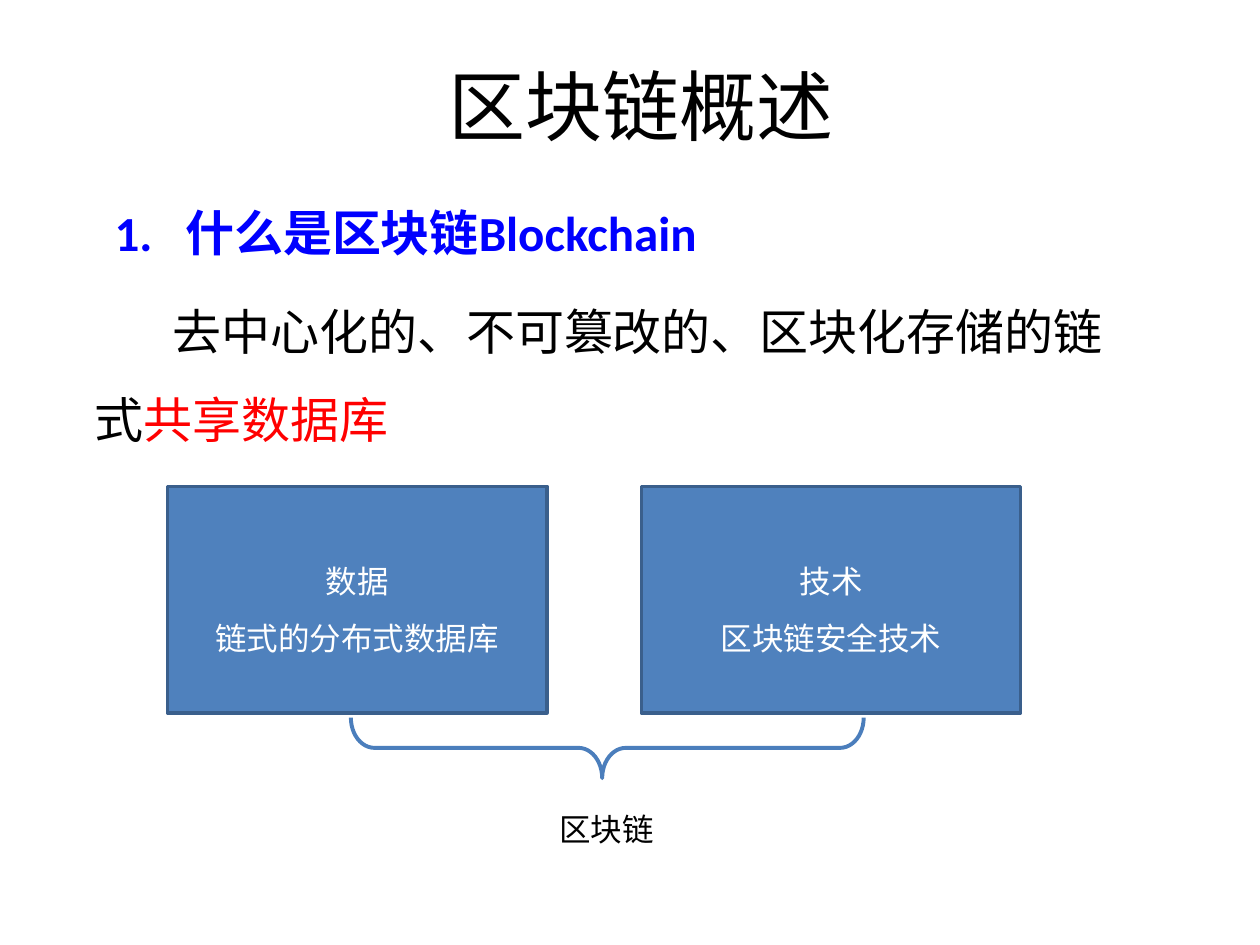
import dataclasses

import pptx
import pptx.dml.color
import pptx.enum.shapes
import pptx.enum.text
import pptx.oxml
import pptx.oxml.ns
import pptx.util

Inches = pptx.util.Inches
Pt = pptx.util.Pt
Shape = pptx.enum.shapes.MSO_SHAPE
Align = pptx.enum.text.PP_ALIGN
Anchor = pptx.enum.text.MSO_ANCHOR
Fit = pptx.enum.text.MSO_AUTO_SIZE


@dataclasses.dataclass
class Theme:
    font: str = "Calibri"
    note: str = "Arial"
    black: str = "000000"
    white: str = "FFFFFF"
    blue: str = "0000FF"
    red: str = "FF0000"
    fill: str = "4F81BD"
    edge: str = "3A5F8C"
    brace: str = "4B7EBC"
    title: int = 44
    body: int = 28
    small: int = 18


class Deck:
    """Holds the theme and the current slide, and draws each kind of element."""

    def __init__(self, theme):
        self.theme = theme
        self.file = pptx.Presentation()
        self.file.slide_width = Inches(10)
        self.file.slide_height = Inches(7.5)
        self.slide = self.file.slides.add_slide(self.file.slide_layouts[1])

    def color(self, code):
        return pptx.dml.color.RGBColor.from_string(code)

    def style(self, run, size, code, face=None, bold=False):
        run.font.name = face or self.theme.font
        run.font.size = Pt(size)
        run.font.bold = bold
        run.font.color.rgb = self.color(code)

    def place(self, item, left, top, width, height):
        item.left, item.top = Inches(left), Inches(top)
        item.width, item.height = Inches(width), Inches(height)

    def title(self, text, *spot):
        item = self.slide.shapes.title
        self.place(item, *spot)
        frame = item.text_frame
        frame.text = text
        frame.auto_size = Fit.NONE
        frame.vertical_anchor = Anchor.MIDDLE
        para = frame.paragraphs[0]
        para.alignment = Align.CENTER
        self.style(para.runs[0], self.theme.title, self.theme.black)

    def body(self, *spot):
        item = self.slide.placeholders[1]
        self.place(item, *spot)
        item.text_frame.auto_size = Fit.NONE
        return item.text_frame

    def para(self, para, parts, margin, indent, space=1.0, bold=False):
        para.line_spacing = space
        para.space_before = Pt(6)
        for text, code in parts:
            run = para.add_run()
            run.text = text
            self.style(run, self.theme.body, code, bold=bold)
        props = para._p.get_or_add_pPr()
        props.set("marL", str(Inches(margin)))
        props.set("indent", str(Inches(indent)))
        props.append(pptx.oxml.parse_xml(
            f"<a:buNone {pptx.oxml.ns.nsdecls('a')}/>"))

    def shape(self, kind, spot, line, width, fill=None):
        item = self.slide.shapes.add_shape(kind, *map(Inches, spot))
        item.shadow.inherit = False
        item.line.color.rgb = self.color(line)
        item.line.width = Pt(width)
        if fill:
            item.fill.solid()
            item.fill.fore_color.rgb = self.color(fill)
        else:
            item.fill.background()
        return item

    def box(self, text, *spot):
        item = self.shape(Shape.RECTANGLE, spot, self.theme.edge, 2, self.theme.fill)
        frame = item.text_frame
        frame.text = text
        frame.vertical_anchor = Anchor.MIDDLE
        for para in frame.paragraphs:
            para.alignment = Align.CENTER
            para.line_spacing = 1.5
            self.style(para.runs[0], self.theme.small, self.theme.white)

    def brace(self, *spot):
        item = self.shape(Shape.LEFT_BRACE, spot, self.theme.brace, 2.25)
        item.rotation = 270
        item.adjustments[0] = 0.39
        item.adjustments[1] = 0.49

    def label(self, text, *spot):
        item = self.slide.shapes.add_textbox(*map(Inches, spot))
        frame = item.text_frame
        frame.text = text
        frame.word_wrap = False
        frame.auto_size = Fit.SHAPE_TO_FIT_TEXT
        self.style(frame.paragraphs[0].runs[0], self.theme.small,
                   self.theme.black, self.theme.note)


def main():
    theme = Theme()
    deck = Deck(theme)
    deck.title("区块链概述", 0.83, 0.26, 8.52, 1.14)
    frame = deck.body(0.27, 1.56, 8.73, 2.14)
    deck.para(frame.paragraphs[0], [("1.\t什么是区块链Blockchain", theme.blue)],
              1.1, -0.56, bold=True)
    deck.para(frame.add_paragraph(),
              [("去中心化的、不可篡改的、区块化存储的链式", theme.black),
               ("共享数据库", theme.red)], 0.38, 0.62, 1.5)
    texts = ["数据\n链式的分布式数据库", "技术\n区块链安全技术"]
    for col, text in enumerate(texts):
        deck.box(text, 1.33 + 3.76 * col, 3.86, 3.01, 1.8)
    deck.brace(4.58, 3.9, 0.48, 4.07)
    deck.label("区块链", 4.34, 6.38, 0.96, 0.4)
    deck.file.save("out.pptx")


if __name__ == "__main__":
    main()
